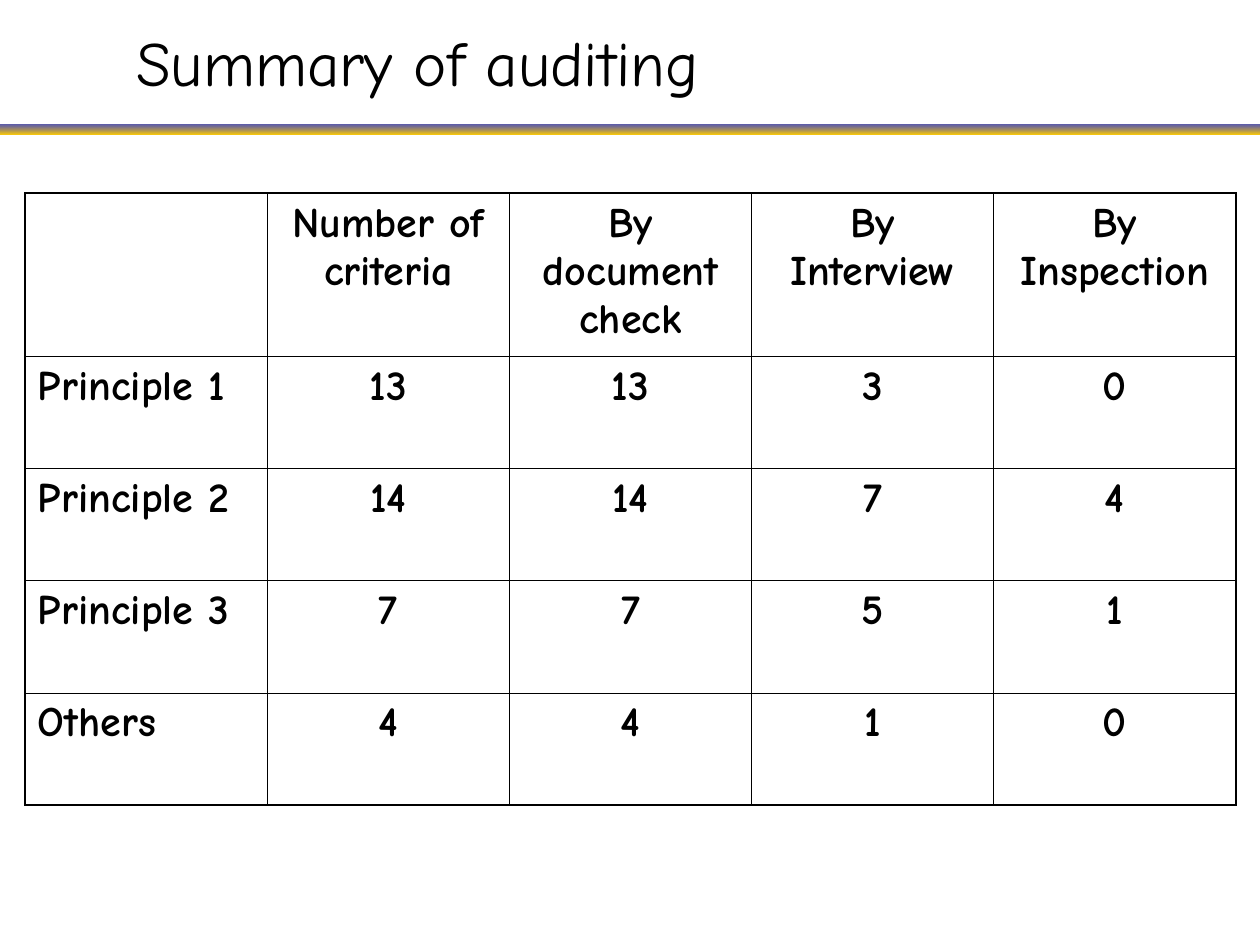
from lxml.etree import SubElement
from pptx import Presentation
from pptx.dml.color import RGBColor
from pptx.enum.shapes import MSO_SHAPE
from pptx.enum.text import MSO_ANCHOR, MSO_AUTO_SIZE, PP_ALIGN
from pptx.oxml import parse_xml
from pptx.oxml.ns import nsdecls, qn
from pptx.util import Cm, Pt

COLORS = {"ink": "000000", "band_top": "333399", "band_bottom": "FFCC00"}
FACE = "Comic Neue"
TITLE_FONT = {"name": FACE, "size": Pt(36), "bold": False}
CELL_FONT = {"name": FACE, "size": Pt(24), "bold": True}
TITLE_FRAME = {
    "word_wrap": True,
    "auto_size": MSO_AUTO_SIZE.NONE,
    "vertical_anchor": MSO_ANCHOR.MIDDLE,
}
TITLE_BOX = {"left": Cm(2.49), "top": Cm(0.13), "width": Cm(22.91), "height": Cm(2.21)}
INNER_BORDER, OUTER_BORDER = Pt(0.45), Pt(1.08)
COLUMN_WIDTH, HEADER_HEIGHT, ROW_HEIGHT = Cm(4.88), Cm(3.3), Cm(2.26)

AUDIT = [
    ["", "Number of criteria", "By document check", "By Interview", "By Inspection"],
    ["Principle 1", "13", "13", "3", "0"],
    ["Principle 2", "14", "14", "7", "4"],
    ["Principle 3", "7", "7", "5", "1"],
    ["Others", "4", "4", "1", "0"],
]


def apply(target, values):
    for attribute, value in values.items():
        setattr(target, attribute, value)


def write(paragraph, wording, font, alignment):
    paragraph.text = wording
    paragraph.alignment = alignment
    apply(paragraph.font, font)
    paragraph.font.color.rgb = RGBColor.from_string(COLORS["ink"])


def add_heading(slide, wording):
    heading = slide.shapes.title
    apply(heading, TITLE_BOX)
    apply(heading.text_frame, TITLE_FRAME)
    write(heading.text_frame.paragraphs[0], wording, TITLE_FONT, PP_ALIGN.LEFT)


def add_band(slide, width):
    band = slide.shapes.add_shape(MSO_SHAPE.RECTANGLE, 0, Cm(2.51), width, Cm(0.2))
    band.shadow.inherit = False
    band.line.fill.background()
    band.fill.gradient()
    band.fill.gradient_angle = 270
    stops = band.fill.gradient_stops
    for stop, position, color in zip(stops, (0, 1), ("band_top", "band_bottom")):
        stop.position = position
        stop.color.rgb = RGBColor.from_string(COLORS[color])
    top_color = next(band.fill._xPr.iter(qn("a:srgbClr")))
    SubElement(top_color, qn("a:alpha"), val="80000")


def set_borders(cell, outer_sides):
    properties = cell._tc.get_or_add_tcPr()
    for index, side in enumerate("LRTB"):
        weight = OUTER_BORDER if outer_sides[side] else INNER_BORDER
        properties.insert(index, parse_xml(
            f'<a:ln{side} {nsdecls("a")} w="{weight}"><a:solidFill>'
            f'<a:srgbClr val="{COLORS["ink"]}"/></a:solidFill></a:ln{side}>'
        ))


def add_audit_table(slide):
    row_count, column_count = len(AUDIT), len(AUDIT[0])
    audit = slide.shapes.add_table(
        row_count, column_count, Cm(0.51), Cm(3.89),
        COLUMN_WIDTH * column_count, HEADER_HEIGHT + ROW_HEIGHT * (row_count - 1),
    ).table
    apply(audit, {"first_row": False, "horz_banding": False})
    for column in audit.columns:
        column.width = COLUMN_WIDTH
    for r, entries in enumerate(AUDIT):
        audit.rows[r].height = ROW_HEIGHT if r else HEADER_HEIGHT
        for c, entry in enumerate(entries):
            cell = audit.cell(r, c)
            cell.fill.background()
            alignment = PP_ALIGN.CENTER if c else PP_ALIGN.LEFT
            write(cell.text_frame.paragraphs[0], entry, CELL_FONT, alignment)
            set_borders(cell, {
                "L": c == 0, "R": c == column_count - 1,
                "T": r == 0, "B": r == row_count - 1,
            })


def main():
    deck = Presentation()
    apply(deck, {"slide_width": Cm(25.4), "slide_height": Cm(19.05)})
    slide = deck.slides.add_slide(deck.slide_layouts.get_by_name("Title Only"))
    add_band(slide, deck.slide_width)
    add_heading(slide, "Summary of auditing")
    add_audit_table(slide)
    deck.save("out.pptx")


if __name__ == "__main__":
    main()
